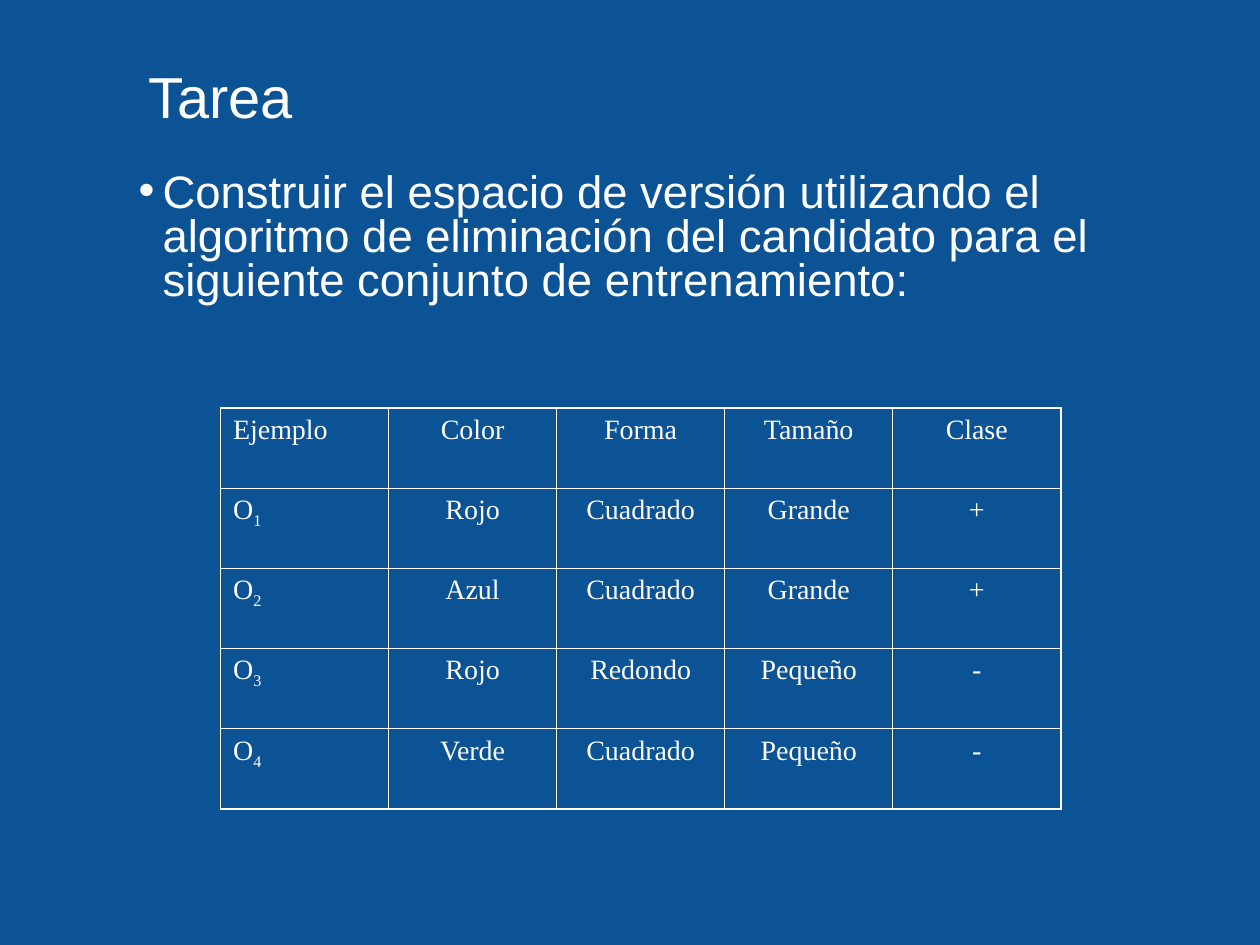
"""Build the "Tarea" slide: a task statement and its table of training examples."""
from dataclasses import dataclass

from lxml.etree import SubElement
from pptx import Presentation
from pptx.dml.color import RGBColor as Color
from pptx.enum.text import MSO_ANCHOR as Anchor, MSO_AUTO_SIZE as AutoSize, PP_ALIGN as Align
from pptx.oxml.ns import qn
from pptx.util import Inches, Pt

TITLE = "Tarea"
TASK = ("Construir el espacio de versión utilizando el algoritmo de eliminación "
        "del candidato para el siguiente conjunto de entrenamiento:")
HEADERS = ["Ejemplo", "Color", "Forma", "Tamaño", "Clase"]
EXAMPLES = [
    ["Rojo", "Cuadrado", "Grande", "+"],
    ["Azul", "Cuadrado", "Grande", "+"],
    ["Rojo", "Redondo", "Pequeño", "-"],
    ["Verde", "Cuadrado", "Pequeño", "-"],
]


@dataclass(frozen=True)
class Theme:
    background: str = "0B5395"
    ink: str = "FFFFFF"
    text_font: str = "Arial"
    table_font: str = "Times New Roman"
    title_size: float = 33
    task_size: float = 26
    table_size: float = 16
    inner_line: float = 0.45
    outer_line: float = 1.08


THEME = Theme()


def style(para, font_name, size, align):
    para.alignment = align
    para.font.name = font_name
    para.font.size = Pt(size)
    para.font.color.rgb = Color.from_string(THEME.ink)


def fill_placeholder(box, place, text, size, spacing, anchor):
    box.left, box.top, box.width, box.height = map(Inches, place)
    frame = box.text_frame
    frame.auto_size = AutoSize.NONE
    frame.word_wrap = True
    frame.vertical_anchor = anchor
    frame.text = text
    para = frame.paragraphs[0]
    para.line_spacing = spacing
    para.space_before = Pt(0)
    return para


def add_bullet(para, indent):
    properties = para._p.get_or_add_pPr()
    properties.set("marL", str(Inches(indent)))
    properties.set("indent", str(-Inches(indent)))
    colour = SubElement(properties, qn("a:buClr"))
    SubElement(colour, qn("a:srgbClr"), val=THEME.ink)
    SubElement(properties, qn("a:buFont"), typeface=THEME.text_font)
    SubElement(properties, qn("a:buChar"), char="•")


def set_borders(cell, outer_sides):
    properties = cell._tc.get_or_add_tcPr()
    for side in "LRTB":
        width = THEME.outer_line if side in outer_sides else THEME.inner_line
        line = SubElement(properties, qn(f"a:ln{side}"), w=str(Pt(width)))
        fill = SubElement(line, qn("a:solidFill"))
        SubElement(fill, qn("a:srgbClr"), val=THEME.ink)


def add_examples(slide, left, top, width, height):
    rows = [HEADERS] + [["O", *values] for values in EXAMPLES]
    last_row, last_column = len(rows) - 1, len(HEADERS) - 1
    table = slide.shapes.add_table(len(rows), len(HEADERS), Inches(left), Inches(top),
                                   Inches(width), Inches(height)).table
    table.first_row = table.horz_banding = False
    for r, values in enumerate(rows):
        for c, value in enumerate(values):
            cell = table.cell(r, c)
            para = cell.text_frame.paragraphs[0]
            para.add_run().text = value
            style(para, THEME.table_font, THEME.table_size, Align.CENTER if c else Align.LEFT)
            if r and not c:
                subscript = para.add_run()
                subscript.text = str(r)
                subscript.font._element.set("baseline", "-25000")
            edges = {"L": c == 0, "R": c == last_column, "T": r == 0, "B": r == last_row}
            set_borders(cell, [side for side, outer in edges.items() if outer])
            cell.fill.background()


def main():
    deck = Presentation()
    deck.slide_width, deck.slide_height = Inches(10), Inches(7.5)
    slide = deck.slides.add_slide(deck.slide_layouts[1])
    slide.background.fill.solid()
    slide.background.fill.fore_color.rgb = Color.from_string(THEME.background)

    title = fill_placeholder(slide.shapes.title, (1.08, 0.17, 8.5, 1.25), TITLE,
                             THEME.title_size, 0.9, Anchor.MIDDLE)
    style(title, THEME.text_font, THEME.title_size, Align.LEFT)
    task = fill_placeholder(slide.placeholders[1], (1, 1.33, 8.5, 1.17), TASK,
                            THEME.task_size, 0.8, Anchor.TOP)
    add_bullet(task, 0.19)
    style(task, THEME.text_font, THEME.task_size, Align.LEFT)
    add_examples(slide, 1.75, 3.24, 6.67, 3.18)
    deck.save("out.pptx")


if __name__ == "__main__":
    main()
